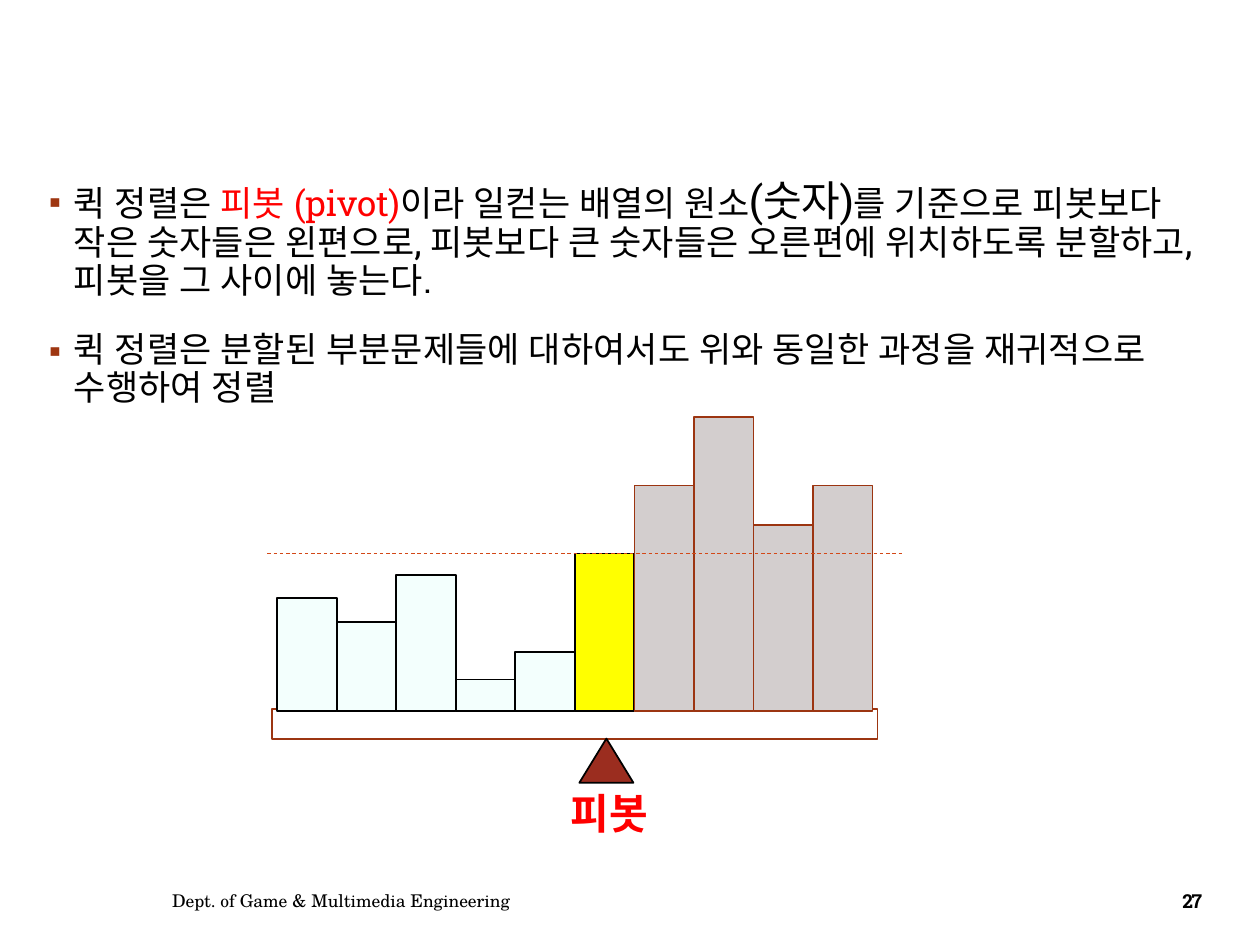
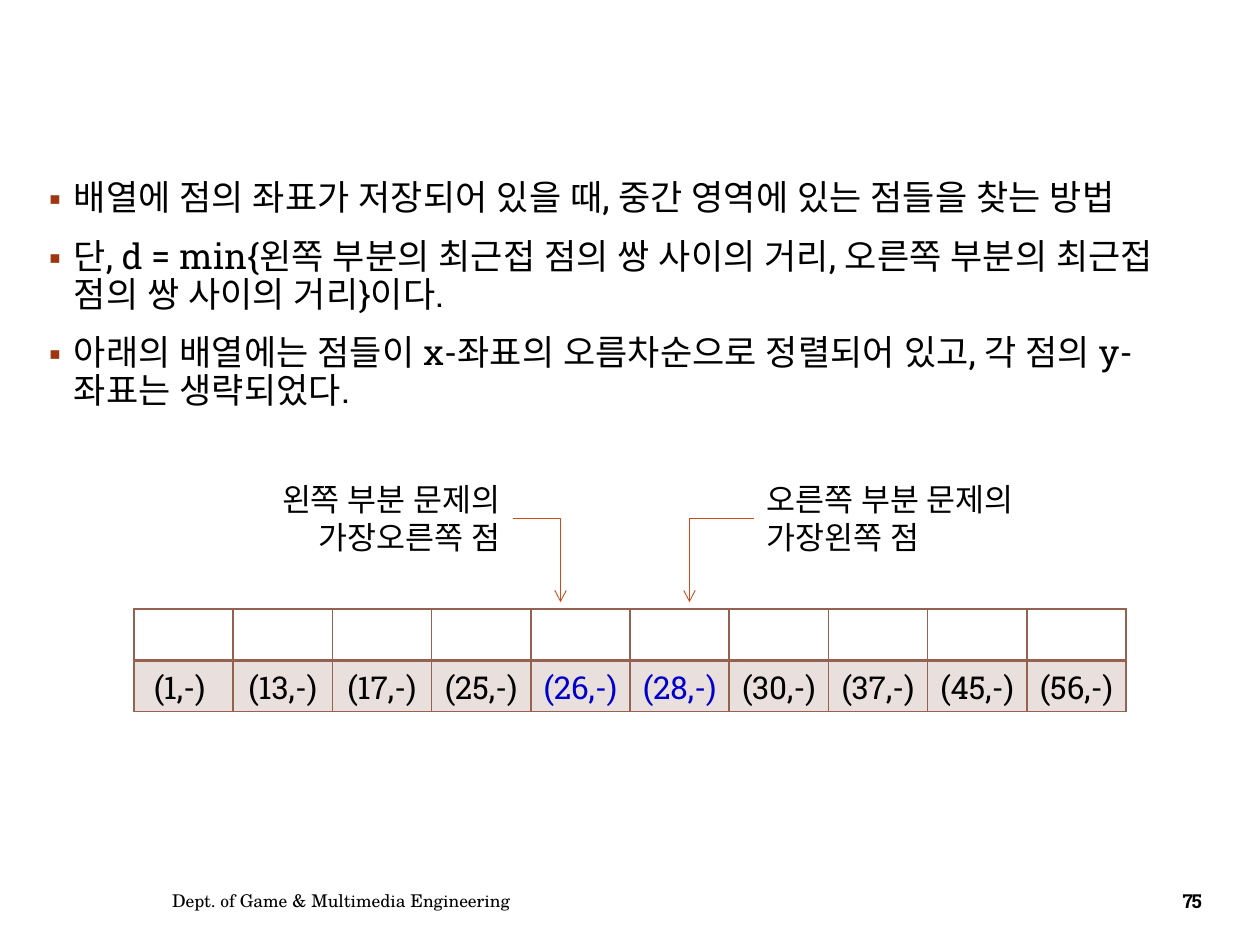
from pptx import Presentation
from pptx.dml.color import RGBColor
from pptx.enum.dml import MSO_LINE
from pptx.enum.shapes import MSO_CONNECTOR, MSO_SHAPE
from pptx.enum.text import MSO_ANCHOR, PP_ALIGN
from pptx.oxml.ns import qn
from pptx.util import Cm, Pt
from lxml.etree import SubElement

COLORS = {
    "text": "000000",
    "white": "FFFFFF",
    "red": "FF0000",
    "blue": "0000CC",
    "bullet": "9E3611",
    "rust": "9C3511",
    "fulcrum": "9B2D1F",
    "arrow": "D34817",
    "small": "F3FFFD",
    "pivot": "FFFF00",
    "large": "D3CECE",
    "table": "956251",
}
SLAB = "Roboto Slab"
KOREAN = "Noto Sans CJK KR"
SCHOLA = "TeX Gyre Schola"
BODY_BOX = (0.74, 3.51, 23.95, 13.64)


def rgb(name):
    return RGBColor.from_string(COLORS[name])


def add_span(para, text, size, color="text", font=SLAB, bold=False):
    span = para.add_run()
    span.text = text
    span.font.size = Pt(size)
    span.font.name = font
    span.font.bold = bold
    span.font.color.rgb = rgb(color)
    SubElement(span.font._element, qn("a:ea")).set("typeface", font)
    return span


def add_text_box(page, box, anchor=MSO_ANCHOR.TOP):
    frame = page.shapes.add_textbox(*map(Cm, box)).text_frame
    frame.word_wrap = True
    frame.vertical_anchor = anchor
    return frame


def add_label(page, box, text, size, align=PP_ALIGN.LEFT, anchor=MSO_ANCHOR.TOP, **style):
    para = add_text_box(page, box, anchor).paragraphs[0]
    para.alignment = align
    return add_span(para, text, size, **style)


def add_bullet(para):
    props = para._p.get_or_add_pPr()
    props.set("marL", str(Cm(0.5)))
    props.set("indent", str(Cm(-0.5)))
    color = SubElement(props, qn("a:buClr"))
    SubElement(color, qn("a:srgbClr")).set("val", COLORS["bullet"])
    SubElement(props, qn("a:buSzPct")).set("val", "85000")
    SubElement(props, qn("a:buFont")).set("typeface", SLAB)
    SubElement(props, qn("a:buChar")).set("char", "▪")


def add_body(page, box, items, space_after=0):
    frame = add_text_box(page, box)
    for index, spans in enumerate(items):
        para = frame.add_paragraph() if index else frame.paragraphs[0]
        para.line_spacing = 0.9
        para.space_before = Pt(12)
        para.space_after = Pt(space_after)
        add_bullet(para)
        for text, size, color in spans:
            add_span(para, text, size, color)


def add_footer(page, number):
    top, height = 17.65, 1.02
    add_label(page, (3.22, top, 11.66, height), "Dept. of Game & Multimedia Engineering",
              10, anchor=MSO_ANCHOR.MIDDLE, font=SCHOLA)
    span = add_label(page, (23.36, top, 1.35, height), str(number), 11,
                     PP_ALIGN.CENTER, MSO_ANCHOR.MIDDLE, bold=True)
    span.font._element.set("spc", "-70")


def add_block(page, kind, box, fill, line):
    block = page.shapes.add_shape(kind, *map(Cm, box))
    block.shadow.inherit = False
    block.fill.solid()
    block.fill.fore_color.rgb = rgb(fill)
    block.line.color.rgb = rgb(line)
    block.line.width = Pt(1)


def add_line(page, kind, start, end):
    line = page.shapes.add_connector(kind, *map(Cm, start + end))
    line.line.color.rgb = rgb("arrow")
    line.line.width = Pt(0.5)
    SubElement(line._element.spPr, qn("a:effectLst"))
    return line


def add_elbow_arrow(page, start, end):
    arrow = add_line(page, MSO_CONNECTOR.ELBOW, start, end)
    arrow._element.spPr.find(qn("a:prstGeom")).set("prst", "bentConnector2")
    SubElement(arrow.line._get_or_add_ln(), qn("a:tailEnd")).set("type", "arrow")


def add_balance(page, box):
    left, top, width, height = box
    bar_width = 1.2
    base = top + 5.94
    small = [2.28, 1.8, 2.75, 0.64, 1.2]
    large = [4.55, 5.94, 3.76, 4.55]
    pivot = 3.18
    bars = ([(size, "small", "text") for size in small]
            + [(pivot, "pivot", "text")]
            + [(size, "large", "rust") for size in large])

    add_block(page, MSO_SHAPE.RECTANGLE, (left, base - 0.04, width, 0.6), "white", "rust")
    add_block(page, MSO_SHAPE.ISOSCELES_TRIANGLE, (left + 6.19, base + 0.55, 1.09, 0.89),
              "fulcrum", "text")
    for index, (size, fill, line) in enumerate(bars):
        bar = (left + 0.1 + index * bar_width, base - size, bar_width, size)
        add_block(page, MSO_SHAPE.RECTANGLE, bar, fill, line)
    level = base - pivot - 0.01
    threshold = add_line(page, MSO_CONNECTOR.STRAIGHT,
                         (left - 0.1, level), (left + width + 0.5, level))
    threshold.line.dash_style = MSO_LINE.DASH
    add_label(page, (left + 4.29, top + height - 1.27, 5, 1.27), "피봇", 24, PP_ALIGN.CENTER,
              color="red", font=KOREAN, bold=True)


def style_cell(cell, sides):
    props = cell._tc.get_or_add_tcPr()
    for side, width in zip(("L", "R", "T", "B"), sides):
        border = SubElement(props, qn(f"a:ln{side}"))
        border.set("w", str(Pt(width)))
        solid = SubElement(border, qn("a:solidFill"))
        SubElement(solid, qn("a:srgbClr")).set("val", COLORS["table"])


def add_points_table(page, box, points, middle):
    table = page.shapes.add_table(2, len(points), *map(Cm, box)).table
    table.first_row = False
    table.horz_banding = False
    for column, value in enumerate(points):
        blank, filled = table.cell(0, column), table.cell(1, column)
        style_cell(blank, (1, 1, 1, 2))
        blank.fill.background()
        style_cell(filled, (1, 1, 2, 1))
        filled.fill.solid()
        filled.fill.fore_color.rgb = rgb("table")
        tint = filled._tc.tcPr.find(qn("a:solidFill")).find(qn("a:srgbClr"))
        SubElement(tint, qn("a:alpha")).set("val", "20000")
        para = filled.text_frame.paragraphs[0]
        para.alignment = PP_ALIGN.CENTER
        ending = "" if value == points[-1] else " "
        add_span(para, f"({value},-){ending}", 18, "blue" if value in middle else "text")


def add_points_figure(page, box):
    left, top, width, height = box
    label_height, table_height = 1.8, 2.06
    middle_y, tip_y = top + 0.9, top + 2.59
    left_edge, right_edge = left + 7.64, left + 12.5
    add_label(page, (left_edge - 5.64, top, 5.64, label_height),
              "왼쪽 부분 문제의 가장오른쪽 점", 18, PP_ALIGN.RIGHT)
    add_label(page, (right_edge, top, 6.5, label_height),
              "오른쪽 부분 문제의 가장왼쪽 점", 18)
    add_elbow_arrow(page, (left_edge, middle_y), (left + 8.6, tip_y))
    add_elbow_arrow(page, (right_edge, middle_y), (left + 11.2, tip_y))
    points = [1, 13, 17, 25, 26, 28, 30, 37, 45, 56]
    add_points_table(page, (left, top + height - table_height, width, table_height),
                     points, points[4:6])


def build_pivot_page(page):
    add_body(page, BODY_BOX, [
        [("퀵 정렬은 ", 20, "text"),
         ("피봇 (pivot)", 20, "red"),
         ("이라 일컫는 배열의 원소", 20, "text"),
         ("(숫자)", 24, "text"),
         ("를 기준으로 피봇보다 작은 숫자들은 왼편으로, 피봇보다 큰 숫자들은 오른편에 "
          "위치하도록 분할하고, 피봇을 그 사이에 놓는다.", 20, "text")],
        [("퀵 정렬은 분할된 부분문제들에 대하여서도 위와 동일한 과정을 재귀적으로 "
          "수행하여 정렬", 20, "text")],
    ], space_after=6)
    add_balance(page, (5.49, 8.4, 12.2, 8.62))
    add_footer(page, 27)


def build_points_page(page):
    sentences = [
        "배열에 점의 좌표가 저장되어 있을 때, 중간 영역에 있는 점들을 찾는 방법",
        "단, d = min{왼쪽 부분의 최근접 점의 쌍 사이의 거리, 오른쪽 부분의 최근접 점의 쌍 "
        "사이의 거리}이다.",
        "아래의 배열에는 점들이 x-좌표의 오름차순으로 정렬되어 있고, 각 점의 y-좌표는 "
        "생략되었다.",
    ]
    add_body(page, BODY_BOX, [[(sentence, 20, "text")] for sentence in sentences])
    add_points_figure(page, (2.7, 9.55, 20, 4.79))
    add_footer(page, 75)


def main():
    deck = Presentation()
    deck.slide_width, deck.slide_height = Cm(25.4), Cm(19.05)
    for build in (build_pivot_page, build_points_page):
        build(deck.slides.add_slide(deck.slide_layouts[6]))
    deck.save("out.pptx")


if __name__ == "__main__":
    main()
